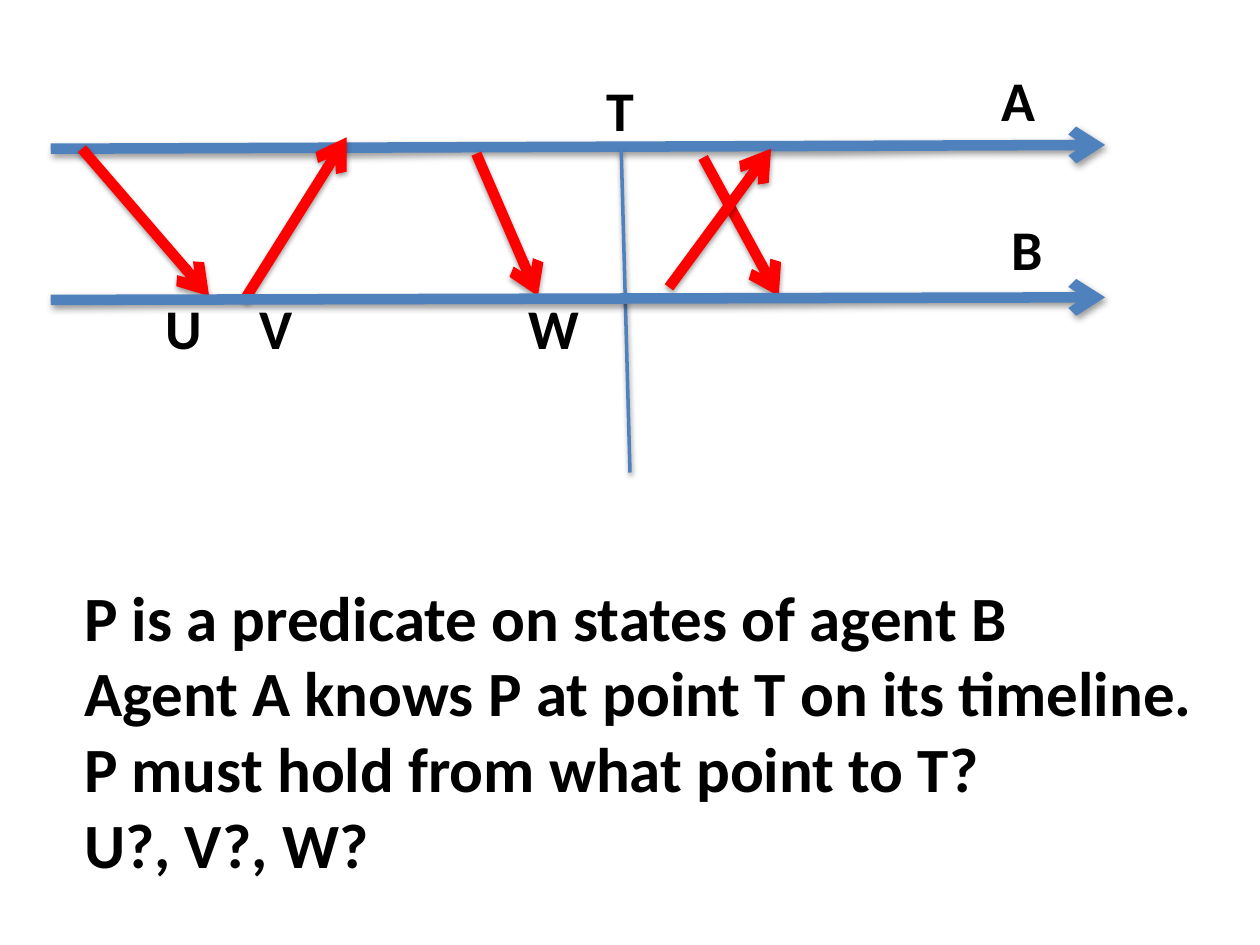
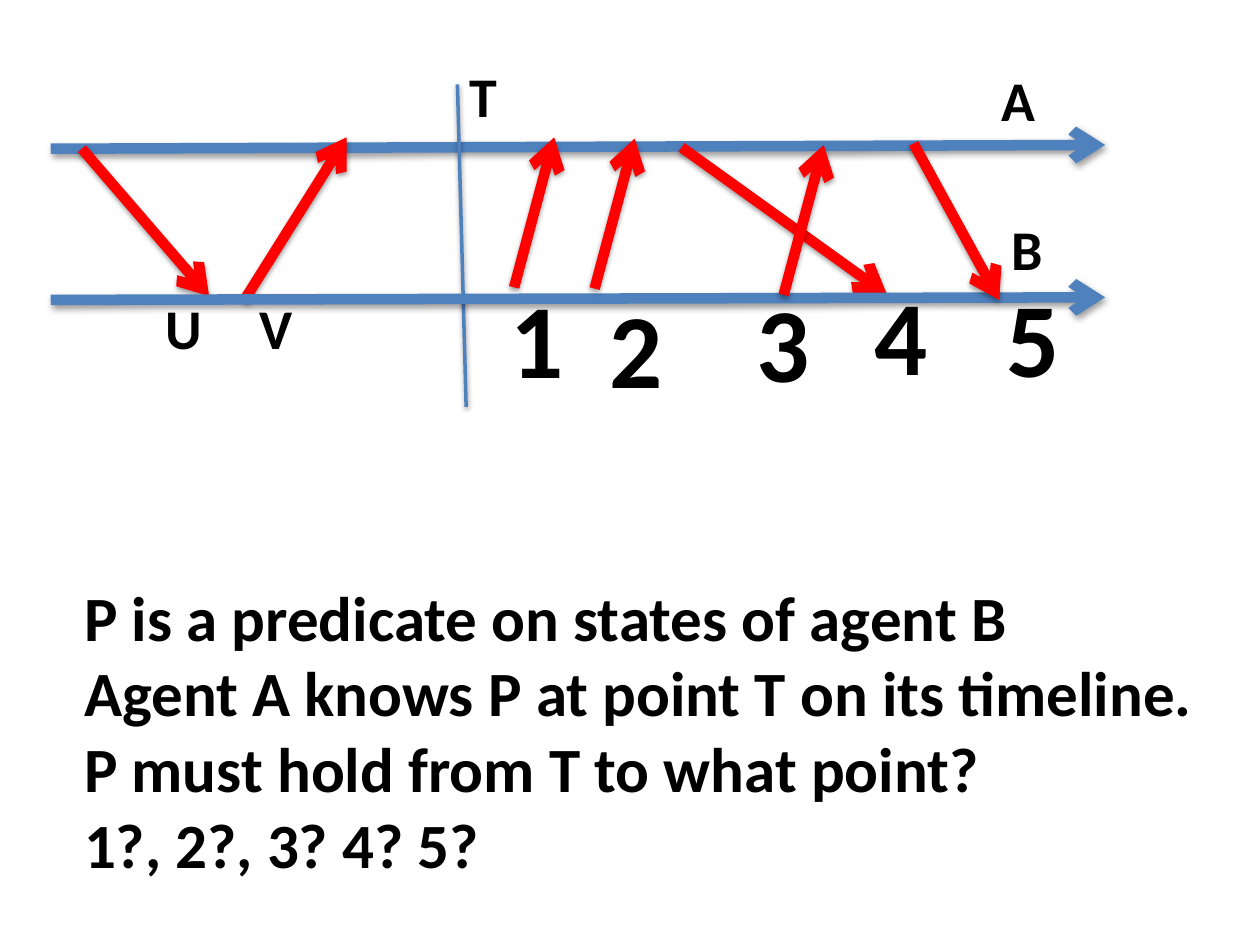
from dataclasses import dataclass

from lxml.etree import SubElement
from pptx import Presentation
from pptx.dml.color import RGBColor as RGB
from pptx.enum.shapes import MSO_CONNECTOR as CONN
from pptx.enum.text import MSO_AUTO_SIZE as AUTO
from pptx.oxml import parse_xml
from pptx.oxml.ns import nsdecls, qn
from pptx.util import Pt


@dataclass(frozen=True)
class Theme:
    font: str = "Calibri"
    text: RGB = RGB(0x00, 0x00, 0x00)
    timeline: RGB = RGB(0x4F, 0x81, 0xBD)
    message: RGB = RGB(0xFF, 0x00, 0x00)
    label_size: int = 32
    body_size: int = 36
    number_size: int = 60
    thick: int = 6
    thin: int = 2


THEME = Theme()
SHADOW = (
    f'<a:effectLst {nsdecls("a")}>'
    f'<a:outerShdw blurRad="{Pt(3.1)}" dist="{Pt(1.6)}" dir="5400000" rotWithShape="0">'
    '<a:srgbClr val="000000"><a:alpha val="38000"/></a:srgbClr>'
    '</a:outerShdw></a:effectLst>'
)
TIMELINE_A = (29, 85, 631.5, 82.8)
TIMELINE_B = (29, 171.4, 631.5, 169.9)
MESSAGE_U = (46.8, 85, 119.5, 169.2)
MESSAGE_V = (139.7, 171.4, 198, 78.5)
EVENT_TOP = 164.2
PREDICATE = [
    "P is a predicate on states of agent B",
    "Agent A knows P at point T on its timeline.",
]


def add_line(s, ends, color, width, arrow=True):
    c = s.shapes.add_connector(CONN.STRAIGHT, *map(Pt, ends))
    c.line.color.rgb = color
    c.line.width = Pt(width)
    if arrow:
        SubElement(c.line._get_or_add_ln(), qn("a:tailEnd"), type="arrow")
    c._element.spPr.append(parse_xml(SHADOW))


def add_text(s, lines, x, y, w, h, size, wrap=False):
    sp = s.shapes.add_textbox(Pt(x), Pt(y), Pt(w), Pt(h))
    tf = sp.text_frame
    tf.word_wrap = wrap
    tf.auto_size = AUTO.SHAPE_TO_FIT_TEXT
    tf.text = "\n".join(lines)
    for p in tf.paragraphs:
        for r in p.runs:
            r.font.name = THEME.font
            r.font.size = Pt(size)
            r.font.bold = True
            r.font.color.rgb = THEME.text


def add_label(s, text, x, y, w, wrap=False):
    add_text(s, [text], x, y, w, 46, THEME.label_size, wrap)


def add_number(s, text, x, y, w=19.4):
    add_text(s, [text], x, y, w, 80, THEME.number_size, True)


def add_messages(s, messages):
    for ends in messages:
        add_line(s, ends, THEME.message, THEME.thick)


def add_timeline(s, ends):
    add_line(s, ends, THEME.timeline, THEME.thick)


def add_point_t(s, x, y, label_x, label_y):
    add_label(s, "T", label_x, label_y, 31)
    add_line(s, (x, y, x + 5, y + 184.3), THEME.timeline, THEME.thin, arrow=False)


def reply(x, y):
    return x, y, x + 22.9, y - 85.7


def add_diagram(prs, point_t, messages, question):
    s = prs.slides.add_slide(prs.slide_layouts[6])
    add_timeline(s, TIMELINE_A)
    add_messages(s, [MESSAGE_U, MESSAGE_V, *messages])
    add_label(s, "A", 565.2, 33.8, 33.8)
    add_label(s, "B", 571, 118.8, 32.4)
    add_point_t(s, *point_t)
    add_text(s, PREDICATE + question, 41, 326.9, 656, 181.4, THEME.body_size)
    add_timeline(s, TIMELINE_B)
    add_label(s, "U", 87.8, EVENT_TOP, 19.4, True)
    add_label(s, "V", 141.1, EVENT_TOP, 18.7, True)
    return s


def main():
    prs = Presentation()
    prs.slide_width, prs.slide_height = Pt(720), Pt(540)

    s = add_diagram(
        prs,
        point_t=(355, 85.7, 339.8, 39.6),
        messages=[
            (401.8, 90, 445, 169.2),
            (272.2, 87.8, 307.4, 169.2),
            (382.3, 164.2, 440.6, 85),
        ],
        question=["P must hold from what point to T?", "U?, V?, W?"],
    )
    add_label(s, "W", 295.2, EVENT_TOP, 23.8, True)

    s = add_diagram(
        prs,
        point_t=(261.4, 48.2, 261.4, 31.7),
        messages=[(389.5, 84.2, 506.9, 168.5), reply(293.8, 164.2)],
        question=["P must hold from T to what point?", "1?, 2?, 3? 4? 5?"],
    )
    add_messages(s, [(522, 82, 571, 171.4), reply(339.8, 164.9), reply(447.8, 168.5)])
    add_number(s, "1", 284.4, 152.6)
    add_number(s, "2", 341.3, 158.4)
    add_number(s, "3", 425.5, 154.8)
    add_number(s, "4", 496.1, 151.2, 10.8)
    add_number(s, "5", 568.1, 151.9)

    prs.save("out.pptx")


if __name__ == "__main__":
    main()
